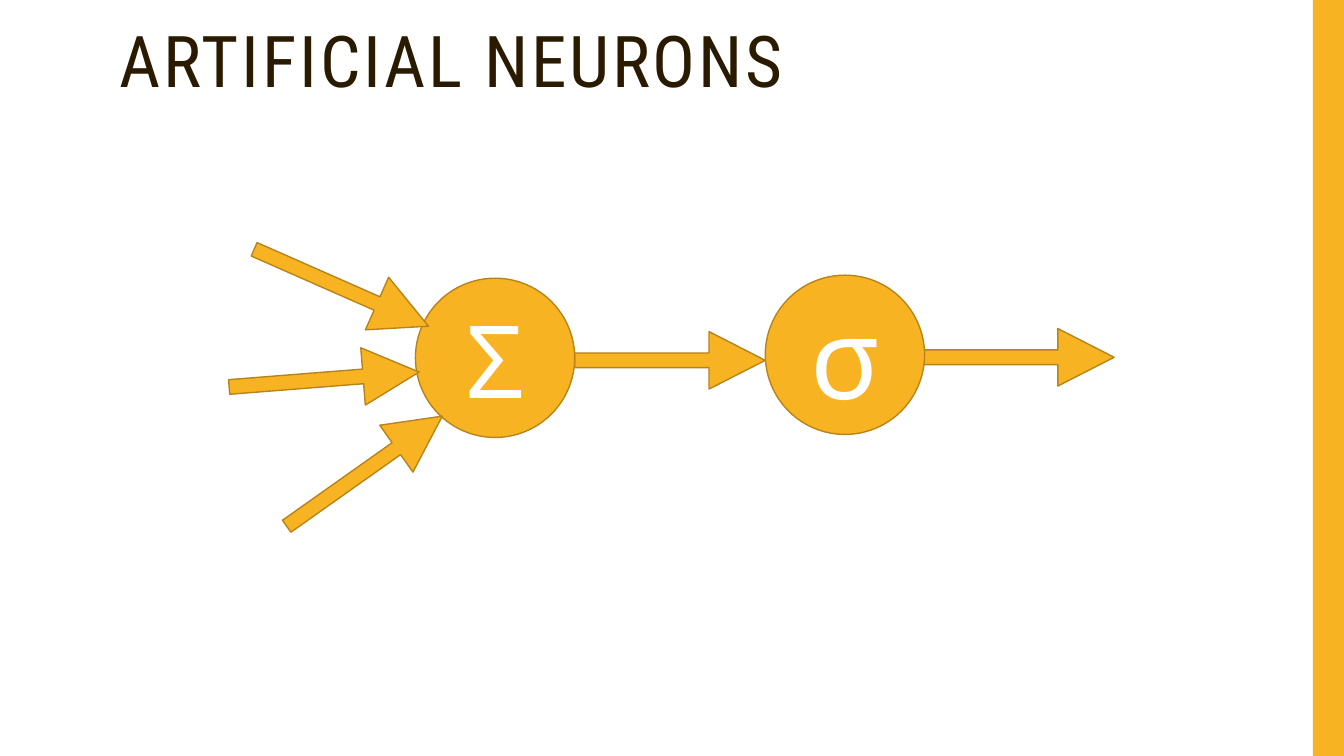
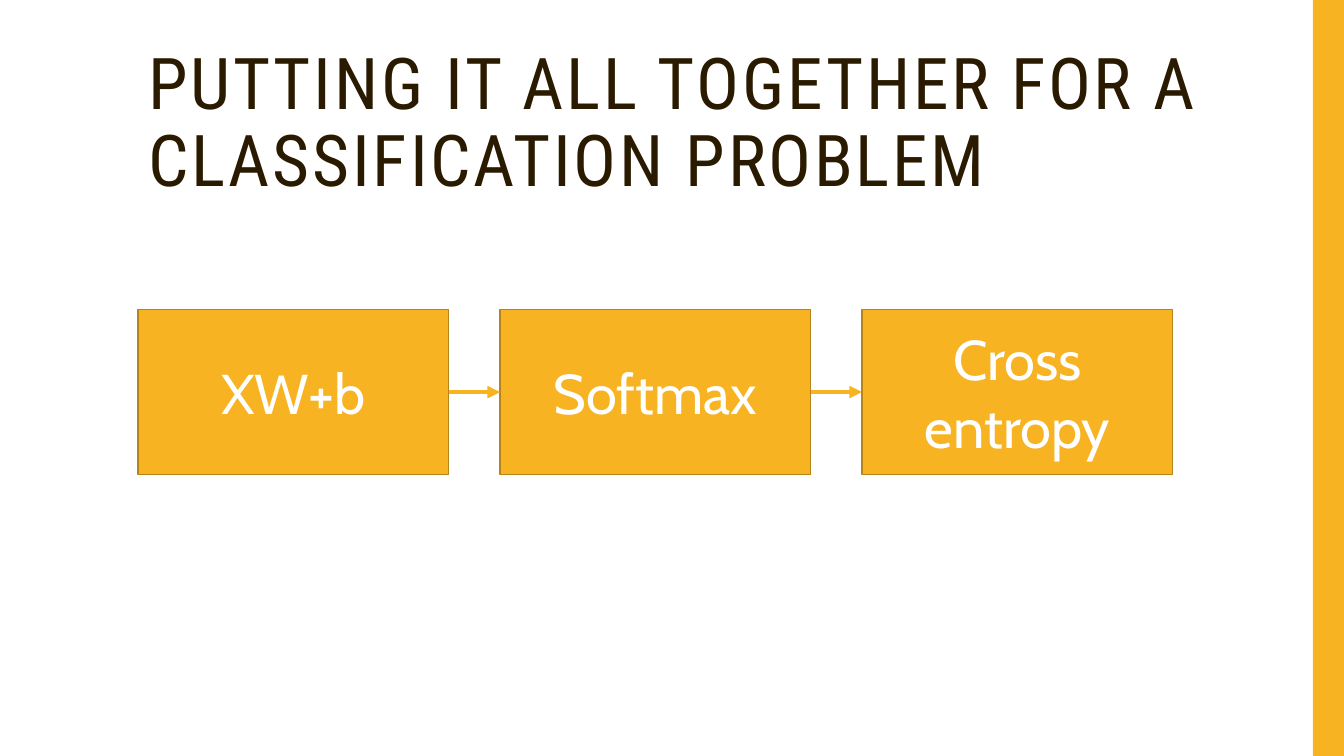
from lxml import etree
from pptx import Presentation
from pptx import util as u
from pptx.dml.color import RGBColor
from pptx.enum import shapes, text
from pptx.oxml.ns import qn

AMBER = RGBColor(0xF8, 0xB3, 0x23)
BRONZE = RGBColor(0xB7, 0x84, 0x1A)
BROWN = RGBColor(0x2A, 0x1A, 0x00)
WHITE = RGBColor(0xFF, 0xFF, 0xFF)
TITLE_FONT, BODY_FONT = "Roboto Condensed", "Cabin"
SHAPE = shapes.MSO_SHAPE

NEURON_TITLE = ("ARTIFICIAL NEURONS", (1.09, 0.21, 7.34, 1.04))
NODE_SIZE = 1.58
NODES = [("Σ", 72, 4.12, 2.76), ("σ", 80, 7.59, 2.73)]
ARROW_SIZE = (1.89, 0.57)
ARROWS = [
    (2.27, 3.48, 355.5),
    (2.67, 4.39, 324.7),
    (2.44, 2.57, 23.8),
    (5.7, 3.29, 0),
    (9.16, 3.26, 0),
]

PIPELINE_TITLE = ("PUTTING IT ALL TOGETHER FOR A CLASSIFICATION PROBLEM",
                  (1.37, 0.42, 11.13, 1.78))
STEPS = ["XW+b", "Softmax", "Cross entropy"]
STEP_LEFT, STEP_TOP, STEP_W, STEP_H, STEP_GAP = 1.37, 3.07, 3.08, 1.64, 0.51


def add_run(p, words, font, size, color):
    r = p.add_run()
    r.text = words
    r.font.name, r.font.size = font, u.Pt(size)
    r.font.color.rgb = color
    return r


def add_block(s, kind, box, outlined=True):
    sp = s.shapes.add_shape(kind, *map(u.Inches, box))
    sp.shadow.inherit = False
    sp.fill.solid()
    sp.fill.fore_color.rgb = AMBER
    if outlined:
        sp.line.color.rgb = BRONZE
        sp.line.width = u.Pt(1)
    else:
        sp.line.fill.background()
    return sp


def add_label(sp, words, size):
    tf = sp.text_frame
    tf.word_wrap = True
    tf.vertical_anchor = text.MSO_ANCHOR.MIDDLE
    p = tf.paragraphs[0]
    p.alignment = text.PP_ALIGN.CENTER
    add_run(p, words, BODY_FONT, size, WHITE)


def add_slide(prs, words, box):
    s = prs.slides.add_slide(prs.slide_layouts[5])
    title = s.shapes.title
    title.left, title.top, title.width, title.height = map(u.Inches, box)
    tf = title.text_frame
    tf.word_wrap = True
    tf.auto_size = text.MSO_AUTO_SIZE.NONE
    tf.vertical_anchor = text.MSO_ANCHOR.TOP
    p = tf.paragraphs[0]
    p.alignment = text.PP_ALIGN.LEFT
    p.line_spacing = 0.9
    r = add_run(p, words, TITLE_FONT, 51, BROWN)
    r.font._element.set("spc", "200")
    return s


def add_master_band(prs, s):
    band = add_block(s, SHAPE.RECTANGLE, (13.02, 0, 0.31, 7.5), outlined=False)
    prs.slide_master.shapes._spTree.append(band._element)


def add_link(s, start, end):
    link = s.shapes.add_connector(shapes.MSO_CONNECTOR.STRAIGHT, 0, 0, 0, 0)
    link.begin_connect(start, 3)
    link.end_connect(end, 1)
    link.line.color.rgb = AMBER
    link.line.width = u.Pt(3)
    etree.SubElement(link.line._get_or_add_ln(), qn("a:tailEnd"), type="triangle")
    etree.SubElement(link._element.spPr, qn("a:effectLst"))


def draw_neuron(s):
    for left, top, angle in ARROWS:
        arrow = add_block(s, SHAPE.RIGHT_ARROW, (left, top, *ARROW_SIZE))
        arrow.adjustments[0], arrow.adjustments[1] = 0.255, 0.978
        arrow.rotation = angle
    for symbol, size, left, top in NODES:
        node = add_block(s, SHAPE.OVAL, (left, top, NODE_SIZE, NODE_SIZE))
        add_label(node, symbol, size)
    for arrow in list(s.shapes)[1:4]:
        s.shapes._spTree.append(arrow._element)


def draw_pipeline(s):
    boxes = []
    for i, words in enumerate(STEPS):
        left = STEP_LEFT + i * (STEP_W + STEP_GAP)
        box = add_block(s, SHAPE.RECTANGLE, (left, STEP_TOP, STEP_W, STEP_H))
        add_label(box, words, 40)
        boxes.append(box)
    for start, end in zip(boxes, boxes[1:]):
        add_link(s, start, end)


def main():
    prs = Presentation()
    prs.slide_width, prs.slide_height = u.Inches(13.33), u.Inches(7.5)
    neuron = add_slide(prs, *NEURON_TITLE)
    add_master_band(prs, neuron)
    draw_neuron(neuron)
    draw_pipeline(add_slide(prs, *PIPELINE_TITLE))
    prs.save("out.pptx")


if __name__ == "__main__":
    main()
